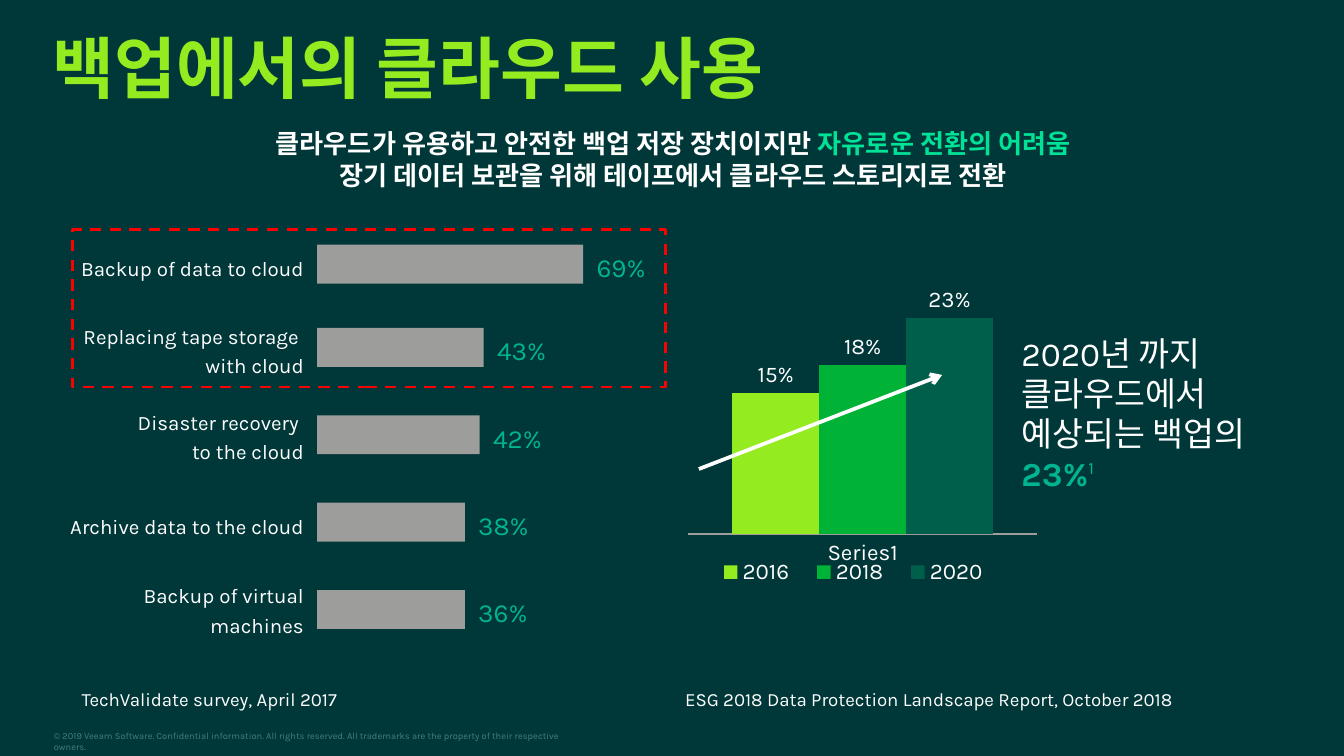
from lxml.etree import SubElement
from pptx import Presentation
from pptx.chart.data import CategoryChartData
from pptx.dml.color import RGBColor
from pptx.enum.chart import XL_CHART_TYPE, XL_LABEL_POSITION, XL_LEGEND_POSITION, XL_TICK_MARK
from pptx.enum.dml import MSO_LINE
from pptx.enum.shapes import MSO_CONNECTOR, MSO_SHAPE
from pptx.enum.text import MSO_ANCHOR, PP_ALIGN
from pptx.oxml import parse_xml
from pptx.oxml.ns import nsdecls, qn
from pptx.util import Pt

PX = 9144  # 100 px to the inch
DARK = RGBColor(0x00, 0x37, 0x38)
WHITE = RGBColor(0xFF, 0xFF, 0xFF)
LIME = RGBColor(0x93, 0xEB, 0x20)
GREEN = RGBColor(0x00, 0xB3, 0x36)
PINE = RGBColor(0x00, 0x5F, 0x4B)
TEAL = RGBColor(0x00, 0xB4, 0x92)
MINT = RGBColor(0x00, 0xE2, 0x96)
GRAY = RGBColor(0x9D, 0x9D, 0x9C)
RED = RGBColor(0xFF, 0x00, 0x00)
DIM = RGBColor(0x46, 0x7D, 0x7D)


def write(frame, paras, size, font="Karla", align=PP_ALIGN.LEFT, lead=None):
    """Fill a frame; each paragraph is a list of (text, colour, bold) runs."""
    frame.word_wrap = True
    for i, runs in enumerate(paras):
        para = frame.paragraphs[0] if i == 0 else frame.add_paragraph()
        para.alignment = align
        if lead:
            para.line_spacing = Pt(lead)
        for text, color, bold in runs:
            run = para.add_run()
            run.text = text
            run.font.name = font
            run.font.size = Pt(size)
            run.font.bold = bold
            run.font.color.rgb = color


def place(parent, index, x, y, w, h):
    """Give a chart part a manual layout, in fractions of the chart."""
    for old in parent.findall(qn("c:layout")):
        parent.remove(old)
    inner = '<c:layoutTarget val="inner"/>' if index == 0 else ""
    parent.insert(index, parse_xml(
        f'<c:layout {nsdecls("c")}><c:manualLayout>{inner}'
        '<c:xMode val="edge"/><c:yMode val="edge"/>'
        f'<c:x val="{x}"/><c:y val="{y}"/><c:w val="{w}"/><c:h val="{h}"/>'
        '</c:manualLayout></c:layout>'))


prs = Presentation()
prs.slide_width = 1000 * PX
prs.slide_height = prs.slide_width * 9 // 16
slide = prs.slides.add_slide(prs.slide_layouts[5])
slide.background.fill.solid()
slide.background.fill.fore_color.rgb = DARK
shapes = slide.shapes

# Title
title = shapes.title
title.left, title.top, title.width, title.height = 39 * PX, 19 * PX, 915 * PX, 61 * PX
frame = title.text_frame
frame.margin_left = frame.margin_right = frame.margin_top = frame.margin_bottom = 0
frame.vertical_anchor = MSO_ANCHOR.TOP
write(frame, [[("백업에서의 클라우드 사용", LIME, True)]], 36, lead=43.5)

# Subtitle
box = shapes.add_textbox(51 * PX, 93 * PX, 900 * PX, 50 * PX)
box.text_frame.vertical_anchor = MSO_ANCHOR.MIDDLE
write(box.text_frame, [
    [("클라우드가 유용하고 안전한 백업 저장 장치이지만 ", WHITE, True),
     ("자유로운 전환의 어려움", MINT, True)],
    [("장기 데이터 보관을 위해 테이프에서 클라우드 스토리지로 전환", WHITE, True)],
], 14, "Noto Sans CJK KR", PP_ALIGN.CENTER, 17)

# Survey bars: label lines, share, top, bar width, label left, label rise
AXIS = 236
rows = [
    (["Backup of data to cloud"], "69%", 182, 198, 39, 0),
    (["Replacing tape storage ", "with cloud"], "43%", 244, 124, 28, 12),
    (["Disaster recovery ", "to the cloud"], "42%", 309, 121, 23, 13),
    (["Archive data to the cloud"], "38%", 374, 110, 29, 0),
    (["Backup of virtual machines"], "36%", 439, 110, 63, 14),
]
for lines, share, top, width, left, rise in rows:
    bar = shapes.add_shape(MSO_SHAPE.RECTANGLE, AXIS * PX, top * PX, width * PX, 29 * PX)
    bar.shadow.inherit = False
    bar.fill.solid()
    bar.fill.fore_color.rgb = GRAY
    bar.line.fill.background()
    tall = 53 if rise else 30
    label = shapes.add_textbox(left * PX, (top - rise) * PX, (AXIS - left) * PX, tall * PX)
    write(label.text_frame, [[(line, WHITE, False)] for line in lines], 11,
          align=PP_ALIGN.RIGHT, lead=16)
    value = shapes.add_textbox((AXIS + width) * PX, top * PX, 98 * PX, 34 * PX)
    write(value.text_frame, [[(share, TEAL, False)]], 14)

# Frame around the top two bars
focus = shapes.add_shape(MSO_SHAPE.RECTANGLE, 54 * PX, 171 * PX, 441 * PX, 117 * PX)
focus.shadow.inherit = False
focus.fill.background()
focus.line.color.rgb = RED
focus.line.width = Pt(1.5)
focus.line.dash_style = MSO_LINE.DASH

# Growth chart
data = CategoryChartData(number_format="0%")
data.categories = ["Series1"]
for name, share in (("2016", 0.15), ("2018", 0.18), ("2020", 0.23)):
    data.add_series(name, [share])
chart = shapes.add_chart(XL_CHART_TYPE.COLUMN_CLUSTERED,
                         501 * PX, 185 * PX, 282 * PX, 269 * PX, data).chart
chart.has_title = False
chart.font.name = "Karla"
chart.font.size = Pt(12)
chart.font.color.rgb = WHITE
plot = chart.plots[0]
plot.gap_width = 101
plot.overlap = 0
plot.vary_by_categories = False
for series, color in zip(plot.series, (LIME, GREEN, PINE)):
    series.format.fill.solid()
    series.format.fill.fore_color.rgb = color
    labels = series.data_labels
    labels.show_value = True
    labels.position = XL_LABEL_POSITION.OUTSIDE_END
    labels.number_format = "0%"
    labels.number_format_is_linked = False
    labels.font.name = "Karla"
    labels.font.size = Pt(12)
    labels.font.color.rgb = WHITE
axis = chart.category_axis
axis.major_tick_mark = axis.minor_tick_mark = XL_TICK_MARK.NONE
axis.format.line.color.rgb = GRAY
axis.format.line.width = Pt(0.75)
scale = chart.value_axis
scale.minimum_scale, scale.maximum_scale = 0, 0.25
scale.has_major_gridlines = False
scale.visible = False
chart.has_legend = True
legend = chart.legend
legend.position = XL_LEGEND_POSITION.BOTTOM
legend.include_in_layout = False
place(chart.element.find(".//" + qn("c:plotArea")), 0, 0.04, 0.14, 0.92, 0.65)
place(chart.element.find(".//" + qn("c:legend")), 1, 0.08, 0.85, 0.79, 0.09)

# Trend arrow
arrow = shapes.add_connector(MSO_CONNECTOR.STRAIGHT, 520 * PX, 349 * PX, 701 * PX, 279 * PX)
arrow.line.color.rgb = WHITE
arrow.line.width = Pt(2)
SubElement(arrow.line._get_or_add_ln(), qn("a:tailEnd"), type="arrow")
SubElement(arrow.element.spPr, qn("a:effectLst"))

# Callout
box = shapes.add_textbox(760 * PX, 243 * PX, 209 * PX, 148 * PX)
frame = box.text_frame
frame.margin_left = 0
write(frame, [[("2020년 까지 클라우드에서 예상되는 백업의 ", WHITE, False),
               ("23%", TEAL, True), ("1", TEAL, False)]], 18, lead=21.5)
note = frame.paragraphs[0].runs[-1]
note.font.size = Pt(16)
note._r.get_or_add_rPr().set("baseline", "40000")

# Sources and footer
for left, text in ((51, "TechValidate survey, April 2017"),
                   (500, "ESG 2018 Data Protection Landscape Report, October 2018")):
    box = shapes.add_textbox(left * PX, 507 * PX, 450 * PX, 27 * PX)
    write(box.text_frame, [[(text, WHITE, False)]], 10)
foot = shapes.add_textbox(40 * PX, 543 * PX, 401 * PX, 8 * PX)
frame = foot.text_frame
frame.margin_left = frame.margin_right = frame.margin_top = frame.margin_bottom = 0
write(frame, [[("© 2019 Veeam Software. Confidential information. All rights reserved. "
                "All trademarks are the property of their respective owners.", DIM, False)]], 5)

prs.save("out.pptx")
